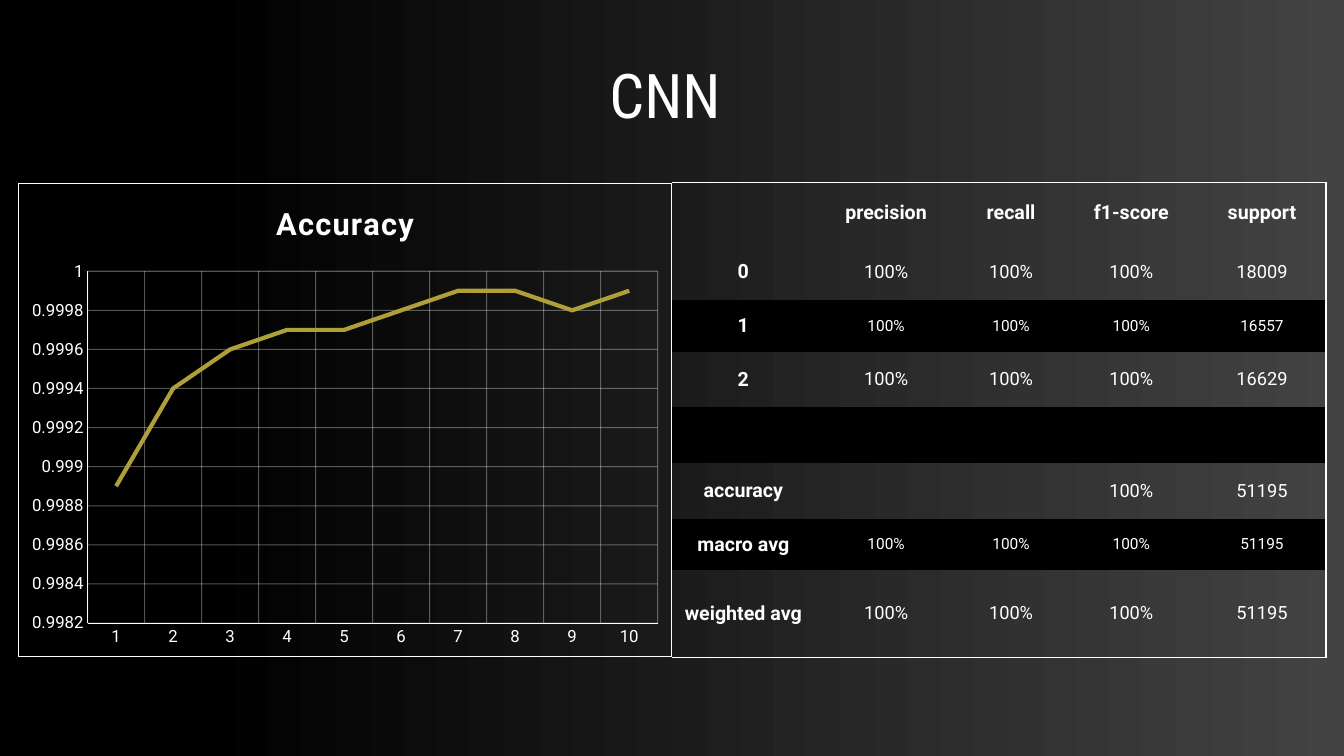
from lxml.etree import SubElement
from pptx import Presentation
from pptx.chart.data import CategoryChartData
from pptx.dml.color import RGBColor
from pptx.enum.chart import XL_CHART_TYPE, XL_TICK_MARK
from pptx.enum.text import MSO_ANCHOR, PP_ALIGN
from pptx.oxml import parse_xml
from pptx.oxml.ns import nsdecls, qn
from pptx.util import Pt

PX = 9525
WHITE, BLACK, GOLD = "FFFFFF", "000000", "AE9F3A"
FONT, TITLE_FONT = "Roboto", "Roboto Condensed"
NO_STYLE = "{2D5ABB26-0587-4C30-8999-92F81FD0307C}"

ACCURACY = [0.9989, 0.9994, 0.9996, 0.9997, 0.9997,
            0.9998, 0.9999, 0.9999, 0.9998, 0.9999]
COLUMN_WIDTHS = [136, 136, 102, 127, 122]
ROW_HEIGHTS = [58, 54, 49, 53, 53, 53, 49, 83]
REPORT = [
    ["", "precision", "recall", "f1-score", "support"],
    ["0", "100%", "100%", "100%", "18009"],
    ["1", "100%", "100%", "100%", "16557"],
    ["2", "100%", "100%", "100%", "16629"],
    ["", "", "", "", ""],
    ["accuracy", "", "", "100%", "51195"],
    ["macro avg", "100%", "100%", "100%", "51195"],
    ["weighted avg", "100%", "100%", "100%", "51195"],
]


def px(*lengths):
    return [length * PX for length in lengths]


def color(value):
    return RGBColor.from_string(value)


def style_font(font, size, bold=False, name=FONT):
    font.name = name
    font.size = Pt(size)
    font.bold = bold
    font.color.rgb = color(WHITE)


def style_line(line, value, width):
    line.width = Pt(width)
    line.color.rgb = color(value)


def paint_background(slide):
    fill = slide.background.fill
    fill.gradient()
    fill.gradient_angle = 0
    for stop, (position, value) in zip(fill.gradient_stops, [(0.15, BLACK), (1, "434343")]):
        stop.position = position
        stop.color.rgb = color(value)


def add_title(slide, text):
    text_frame = slide.shapes.add_textbox(*px(571, 52, 137, 84)).text_frame
    text_frame.word_wrap = True
    text_frame.vertical_anchor = MSO_ANCHOR.MIDDLE
    text_frame.text = text
    paragraph = text_frame.paragraphs[0]
    paragraph.line_spacing = 0.9
    style_font(paragraph.runs[0].font, 44, name=TITLE_FONT)


def style_axis(axis):
    axis.major_tick_mark = axis.minor_tick_mark = XL_TICK_MARK.NONE
    style_font(axis.tick_labels.font, 12)
    style_line(axis.format.line, WHITE, 0.25)
    axis.has_major_gridlines = True
    grid = axis.major_gridlines.format.line
    style_line(grid, WHITE, 0.75)
    grid_color = axis.major_gridlines._xAx.find(qn("c:majorGridlines")).find(
        ".//" + qn("a:srgbClr"))
    SubElement(grid_color, qn("a:alpha"), val="32000")


def place_plot(chart, **fractions):
    plot_area = chart._chartSpace.chart.plotArea
    for layout in plot_area.findall(qn("c:layout")):
        plot_area.remove(layout)
    settings = {"layoutTarget": "inner", "xMode": "edge", "yMode": "edge", **fractions}
    items = "".join(f'<c:{key} val="{value}"/>' for key, value in settings.items())
    plot_area.insert(0, parse_xml(
        f'<c:layout {nsdecls("c")}><c:manualLayout>{items}</c:manualLayout></c:layout>'))


def frame_chart(chart):
    chart._chartSpace.find(qn("c:txPr")).addprevious(parse_xml(
        f'<c:spPr {nsdecls("c", "a")}><a:noFill/><a:ln w="{Pt(0.75)}"><a:solidFill>'
        f'<a:srgbClr val="{WHITE}"/></a:solidFill></a:ln></c:spPr>'))


def add_accuracy_chart(slide):
    data = CategoryChartData()
    data.categories = [str(epoch) for epoch in range(1, len(ACCURACY) + 1)]
    data.add_series("Accuracy", ACCURACY)
    chart = slide.shapes.add_chart(XL_CHART_TYPE.LINE, *px(17, 174, 623, 452), data).chart
    style_font(chart.font, 10)
    chart.has_legend = False
    chart.has_title = True
    title = chart.chart_title
    title.include_in_layout = False
    title.text_frame.text = "Accuracy"
    title_font = title.text_frame.paragraphs[0].runs[0].font
    style_font(title_font, 22, bold=True)
    title_font._element.set("spc", "100")
    style_axis(chart.category_axis)
    value_axis = chart.value_axis
    style_axis(value_axis)
    value_axis.minimum_scale, value_axis.maximum_scale = 0.9982, 1
    value_axis.major_unit = 0.0002
    value_axis.tick_labels.number_format = "General"
    value_axis.tick_labels.number_format_is_linked = False
    chart.plots[0].vary_by_categories = False
    series = chart.plots[0].series[0]
    series.smooth = False
    style_line(series.format.line, GOLD, 3)
    place_plot(chart, x=0.106, y=0.186, w=0.873, h=0.743)
    frame_chart(chart)


def add_border(cell, side):
    cell._tc.get_or_add_tcPr().append(parse_xml(
        f'<a:ln{side} {nsdecls("a")} w="{Pt(1)}"><a:solidFill>'
        f'<a:srgbClr val="{WHITE}"/></a:solidFill></a:ln{side}>'))


def fill_cell(cell, text, size, bold, dark, sides):
    cell.vertical_anchor = MSO_ANCHOR.MIDDLE
    cell.margin_top = cell.margin_bottom = 7 * PX
    for side in sides:
        add_border(cell, side)
    if dark:
        cell.fill.solid()
        cell.fill.fore_color.rgb = color(BLACK)
    else:
        cell.fill.background()
    if text:
        cell.text_frame.text = text
        paragraph = cell.text_frame.paragraphs[0]
        paragraph.alignment = PP_ALIGN.CENTER
        style_font(paragraph.runs[0].font, size, bold)


def add_report_table(slide):
    last_row, last_column = len(ROW_HEIGHTS) - 1, len(COLUMN_WIDTHS) - 1
    frame = slide.shapes.add_table(last_row + 1, last_column + 1, *px(640, 174, 623, 452))
    table = frame.table
    table._tbl.tblPr.find(qn("a:tableStyleId")).text = NO_STYLE
    for column, width in zip(table.columns, COLUMN_WIDTHS):
        column.width = width * PX
    for row, height in zip(table.rows, ROW_HEIGHTS):
        row.height = height * PX
    for r, texts in enumerate(REPORT):
        dark = r > 0 and r % 2 == 0
        for c, text in enumerate(texts):
            bold = r == 0 or c == 0
            size = 14 if bold else 11 if dark else 13
            edges = {"R": c == last_column, "T": r == 0, "B": r == last_row}
            sides = [side for side, outer in edges.items() if outer]
            fill_cell(table.cell(r, c), text, size, bold, dark, sides)


def main():
    presentation = Presentation()
    presentation.slide_width, presentation.slide_height = px(1280, 720)
    slide = presentation.slides.add_slide(presentation.slide_layouts[6])
    paint_background(slide)
    add_title(slide, "CNN")
    add_accuracy_chart(slide)
    add_report_table(slide)
    presentation.save("out.pptx")


if __name__ == "__main__":
    main()
